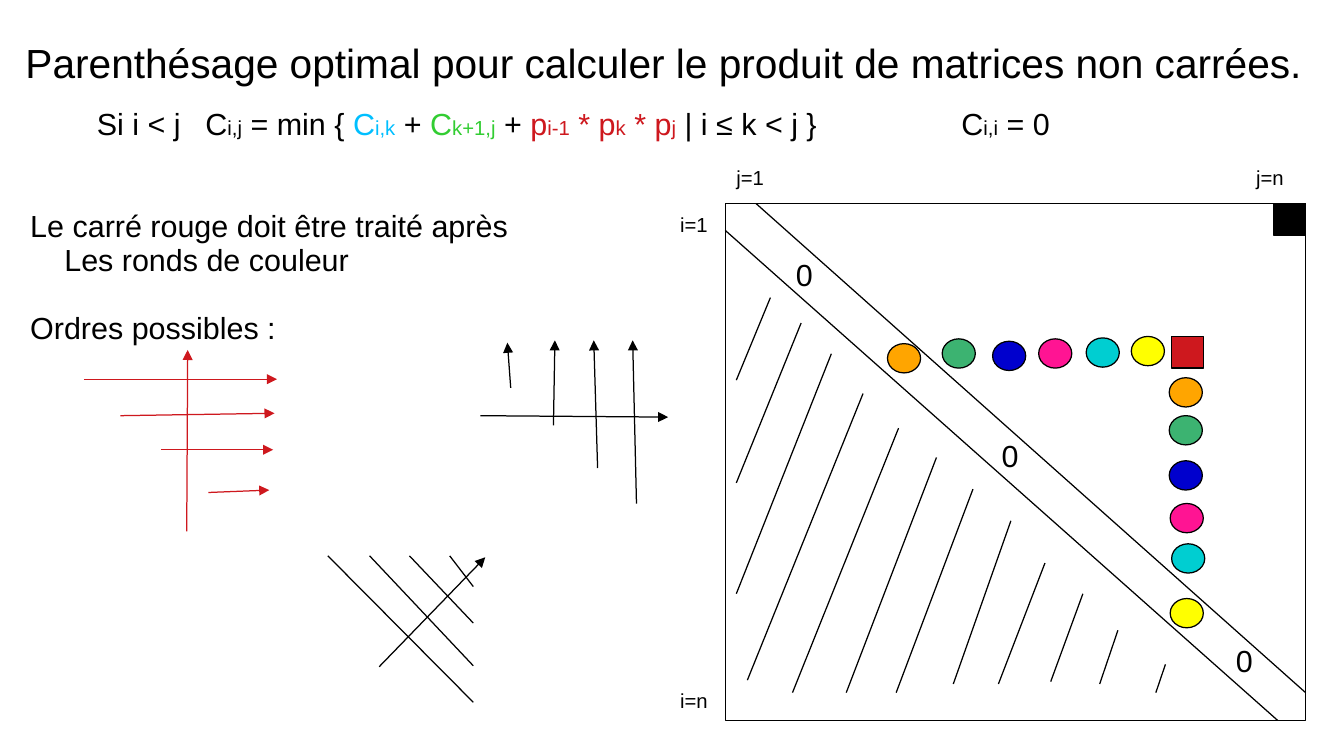
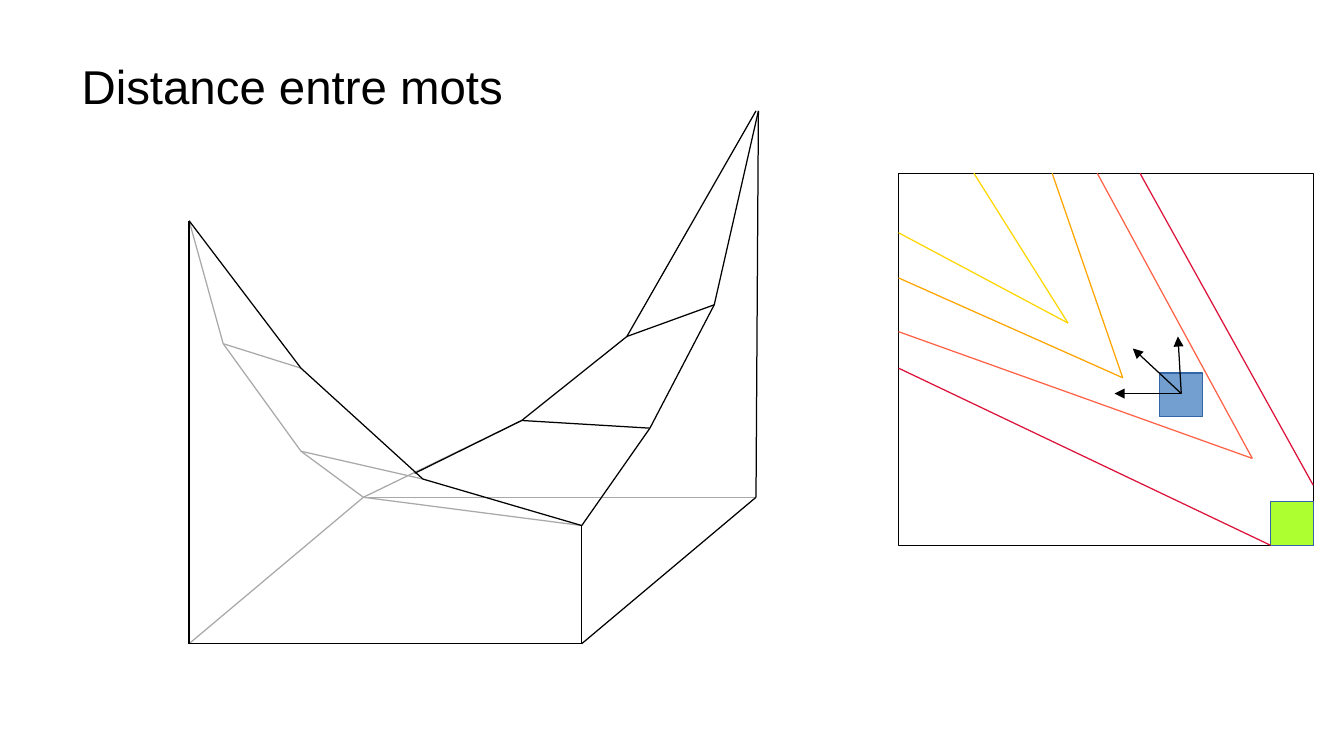
from itertools import pairwise

from lxml.etree import SubElement
from pptx import Presentation
from pptx.dml.color import RGBColor
from pptx.enum.shapes import MSO_CONNECTOR, MSO_SHAPE
from pptx.enum.text import MSO_ANCHOR, MSO_AUTO_SIZE, PP_ALIGN
from pptx.oxml.ns import qn
from pptx.util import Cm, Pt

BLACK, WHITE, RED, GREY = "000000", "FFFFFF", "CE181E", "A9A9A9"
ORANGE, BLUE_EDGE = "FFA500", "3465A4"
LINE_WIDTH = Pt(0.75)
rgb = RGBColor.from_string


def add_line(s, start, end, color=BLACK, arrow=False):
    c = s.shapes.add_connector(MSO_CONNECTOR.STRAIGHT, *map(Cm, start + end))
    c.line.color.rgb = rgb(color)
    c.line.width = LINE_WIDTH
    spPr = c.element.spPr
    if arrow:
        SubElement(spPr.find(qn("a:ln")), qn("a:tailEnd"), type="triangle")
    SubElement(spPr, qn("a:effectLst"))


def add_filled(s, kind, x, y, w, h, fill, edge=BLACK):
    sp = s.shapes.add_shape(kind, Cm(x), Cm(y), Cm(w), Cm(h))
    sp.shadow.inherit = False
    sp.fill.solid()
    sp.fill.fore_color.rgb = rgb(fill)
    sp.line.color.rgb = rgb(edge)
    sp.line.width = LINE_WIDTH


prs = Presentation()
prs.slide_width, prs.slide_height = Cm(28), Cm(15.75)
s1 = prs.slides.add_slide(prs.slide_layouts[1])
s2 = prs.slides.add_slide(prs.slide_layouts[5])
texts = []  # (shape, default size in points)

# Titles
for s, title, x, y, w, h, size in [
    (s1, "Parenthésage optimal pour calculer le produit de matrices non carrées.",
     0.28, 0.69, 27.5, 1.5, 24),
    (s2, "Distance entre mots", 1.45, 1.12, 22.35, 1.4, 28),
]:
    sp = s.shapes.title
    sp.left, sp.top, sp.width, sp.height = Cm(x), Cm(y), Cm(w), Cm(h)
    sp.text_frame.text = title
    texts.append((sp, size))

# Slide 1: explanation
sp = s1.placeholders[1]
sp.left, sp.top, sp.width, sp.height = Cm(0.38), Cm(4.21), Cm(13), Cm(3.1)
tf = sp.text_frame
tf.text = "Le carré rouge doit être traité après\nLes ronds de couleur\nOrdres possibles :"
for p, indent, before in zip(tf.paragraphs, (0, 0.71, 0), (0, 0, 20)):
    pPr = p._p.get_or_add_pPr()
    pPr.set("marL", str(Cm(indent)))
    pPr.set("indent", "0")
    SubElement(pPr, qn("a:buNone"))
    p.space_before = Pt(before)
texts.append((sp, 18))

# Slide 1: recurrence formula, with tab stops for its three parts
sp = s1.shapes.add_textbox(Cm(1.77), Cm(2.08), Cm(25), Cm(1))
p = sp.text_frame.paragraphs[0]
tabs = SubElement(p._p.get_or_add_pPr(), qn("a:tabLst"))
for pos in (2.26, 18.01):
    SubElement(tabs, qn("a:tab"), pos=str(Cm(pos)), algn="l")
SKY, GREEN = "00BFFF", "32CD32"
for text, sub, color in [
    ("Si i < j\tC", "i,j", BLACK), (" = min { ", "", BLACK),
    ("C", "i,k", SKY), (" + ", "", BLACK),
    ("C", "k+1,j", GREEN), (" + ", "", BLACK),
    ("p", "i-1", RED), (" * p", "k", RED), (" * p", "j", RED),
    (" | i ≤ k < j }\tC", "i,i", BLACK), (" = 0", "", BLACK),
]:
    for part, size in ((text, 18), (sub, 12)):
        if part:
            r = p.add_run()
            r.text = part
            r.font.size = Pt(size)
            r.font.color.rgb = rgb(color)
texts.append((sp, 18))

# Slide 1: cost matrix with its diagonal band
LEFT, TOP, RIGHT, BOTTOM = 15.11, 4.24, 27.2, 15.01
add_filled(s1, MSO_SHAPE.RECTANGLE, LEFT, TOP, RIGHT - LEFT, BOTTOM - TOP, WHITE)
add_line(s1, (LEFT, 4.8), (26.62, BOTTOM))
add_line(s1, (15.75, TOP), (RIGHT, 14.43))

# Slide 1: matrix labels
for text, x, y, size in [
    ("j=1", 15.09, 3.3, 12), ("j=n", 25.92, 3.3, 12),
    ("i=1", 13.92, 4.29, 12), ("i=n", 13.92, 14.2, 12),
    ("0", 16.33, 5.23, 18), ("0", 20.62, 8.99, 18), ("0", 25.5, 13.26, 18),
]:
    sp = s1.shapes.add_textbox(Cm(x), Cm(y), Cm(1.3), Cm(0.97))
    sp.text_frame.text = text
    texts.append((sp, size))

# Slide 1: hatching of the unused half
for start, end in [
    ((16.05, 6.2), (15.34, 7.92)), ((16.69, 6.73), (15.34, 10.06)),
    ((17.32, 7.37), (15.34, 12.37)), ((17.98, 8.2), (15.57, 14.17)),
    ((18.72, 8.92), (16.51, 14.43)), ((19.51, 9.53), (17.63, 14.43)),
    ((20.27, 10.19), (18.67, 14.43)), ((21.06, 10.85), (19.86, 14.25)),
    ((21.77, 11.73), (20.8, 14.25)), ((22.56, 12.37), (21.89, 14.2)),
    ((23.29, 13.13), (22.91, 14.25)), ((24.28, 13.84), (24.08, 14.43)),
]:
    add_line(s1, start, end)

# Slide 1: matching discs in the row and column of the red square
disc_colors = [ORANGE, "3CB371", "0000CD", "FF1493", "00CED1", "FFFF00"]
row = [(18.49, 7.16), (19.63, 7.06), (20.68, 7.11),
       (21.64, 7.06), (22.63, 7.04), (23.57, 7.01)]
column = [(24.36, 7.87), (24.36, 8.66), (24.36, 9.6),
          (24.38, 10.49), (24.41, 11.33), (24.38, 12.47)]
for discs in (row, column):
    for (x, y), color in zip(discs, disc_colors):
        add_filled(s1, MSO_SHAPE.OVAL, x, y, 0.69, 0.61, color)
add_filled(s1, MSO_SHAPE.RECTANGLE, RIGHT - 0.66, TOP, 0.66, 0.66, BLACK)
add_filled(s1, MSO_SHAPE.RECTANGLE, 24.41, 7.01, 0.66, 0.66, RED)

# Slide 1: possible orders, by rows, by columns and by diagonals
by_rows = [
    ((1.75, 7.9), (5.77, 7.9)), ((2.51, 8.66), (5.72, 8.61)),
    ((3.35, 9.37), (5.69, 9.37)), ((4.34, 10.26), (5.61, 10.21)),
    ((3.89, 11.07), (3.91, 7.29)),
]
by_columns = [
    ((13.26, 10.49), (13.18, 7.09)), ((12.45, 9.75), (12.37, 7.09)),
    ((11.53, 8.86), (11.56, 7.09)), ((10.64, 8.08), (10.57, 7.14)),
    ((10.01, 8.66), (13.92, 8.69)),
]
for arrows, color in ((by_rows, RED), (by_columns, BLACK)):
    for start, end in arrows:
        add_line(s1, start, end, color, arrow=True)
for x, y in [(6.83, 14.63), (7.7, 13.87), (8.53, 12.98), (9.37, 12.22)]:
    add_line(s1, (x, 11.58), (9.86, y))
add_line(s1, (7.9, 13.89), (10.11, 11.61), arrow=True)

# Slide 2: distance matrix with the current and final cells
LEFT, TOP, RIGHT, BOTTOM = 18.72, 3.61, 27.36, 11.36
CELL_W, CELL_H = 0.89, 0.91
add_filled(s2, MSO_SHAPE.RECTANGLE, LEFT, TOP, RIGHT - LEFT, BOTTOM - TOP, WHITE)
add_filled(s2, MSO_SHAPE.RECTANGLE, 24.16, 7.77, CELL_W, CELL_H, "729FCF", BLUE_EDGE)
add_filled(s2, MSO_SHAPE.RECTANGLE, RIGHT - CELL_W, BOTTOM - CELL_H, CELL_W, CELL_H,
           "ADFF2F", BLUE_EDGE)
for end in [(23.22, 8.2), (24.54, 7.01), (23.6, 7.26)]:
    add_line(s2, (24.61, 8.2), end, arrow=True)

# Slide 2: level lines, each from the top edge and from the left edge
for color, top_x, top_end, left_y, left_end in [
    ("FFD700", 20.29, (22.25, 6.73), 4.85, (22.25, 6.73)),
    (ORANGE, 21.92, (23.39, 7.87), 5.79, (23.39, 7.87)),
    ("FF6347", 22.86, (26.09, 9.55), 6.91, (26.09, 9.55)),
    ("DC143C", 23.75, (RIGHT, 10.11), 7.67, (RIGHT - CELL_W, BOTTOM)),
]:
    add_line(s2, (top_x, TOP), top_end, color)
    add_line(s2, (LEFT, left_y), left_end, color)

# Slide 2: surface in perspective, hidden edges first
left, front, right, back = (3.94, 13.41), (12.12, 13.41), (15.75, 10.36), (7.57, 10.36)
left_peak, right_peak, front_low = (3.94, 4.6), (15.8, 2.31), (12.12, 10.95)
front_1, front_2 = (6.27, 7.67), (8.81, 9.98)
right_1, right_2 = (13.54, 8.92), (14.88, 6.35)
hidden_1, hidden_2 = (4.65, 7.16), (6.27, 9.4)
rear_1, rear_2 = (10.87, 8.76), (13.06, 7.01)
rear_start = (8.64, 9.86)
hidden_edges = [
    [left, back, right],
    [left_peak, hidden_1, hidden_2, back, rear_1],
    [hidden_1, front_1], [hidden_2, front_2], [back, front_low],
]
visible_edges = [
    [left_peak, left, front, right, right_peak],
    [left_peak, front_1, front_2, front_low, right_1, right_2, right_peak],
    [rear_start, rear_1, rear_2, (15.75, 2.31)],
    [front, front_low], [rear_1, right_1], [rear_2, right_2],
]
for edges, color in ((hidden_edges, GREY), (visible_edges, BLACK)):
    for points in edges:
        for start, end in pairwise(points):
            add_line(s2, start, end, color)

# Shared text style
for sp, size in texts:
    tf = sp.text_frame
    tf.word_wrap = True
    tf.auto_size = MSO_AUTO_SIZE.NONE
    tf.vertical_anchor = MSO_ANCHOR.TOP
    tf.margin_left = tf.margin_right = Cm(0.25)
    tf.margin_top, tf.margin_bottom = Cm(0.18), Cm(0.13)
    for p in tf.paragraphs:
        p.alignment = PP_ALIGN.LEFT
        p.line_spacing = 0.93
        for r in p.runs:
            r.font.name = "Arial"
            if r.font.size is None:
                r.font.size = Pt(size)
                r.font.color.rgb = rgb(BLACK)

prs.save("out.pptx")
